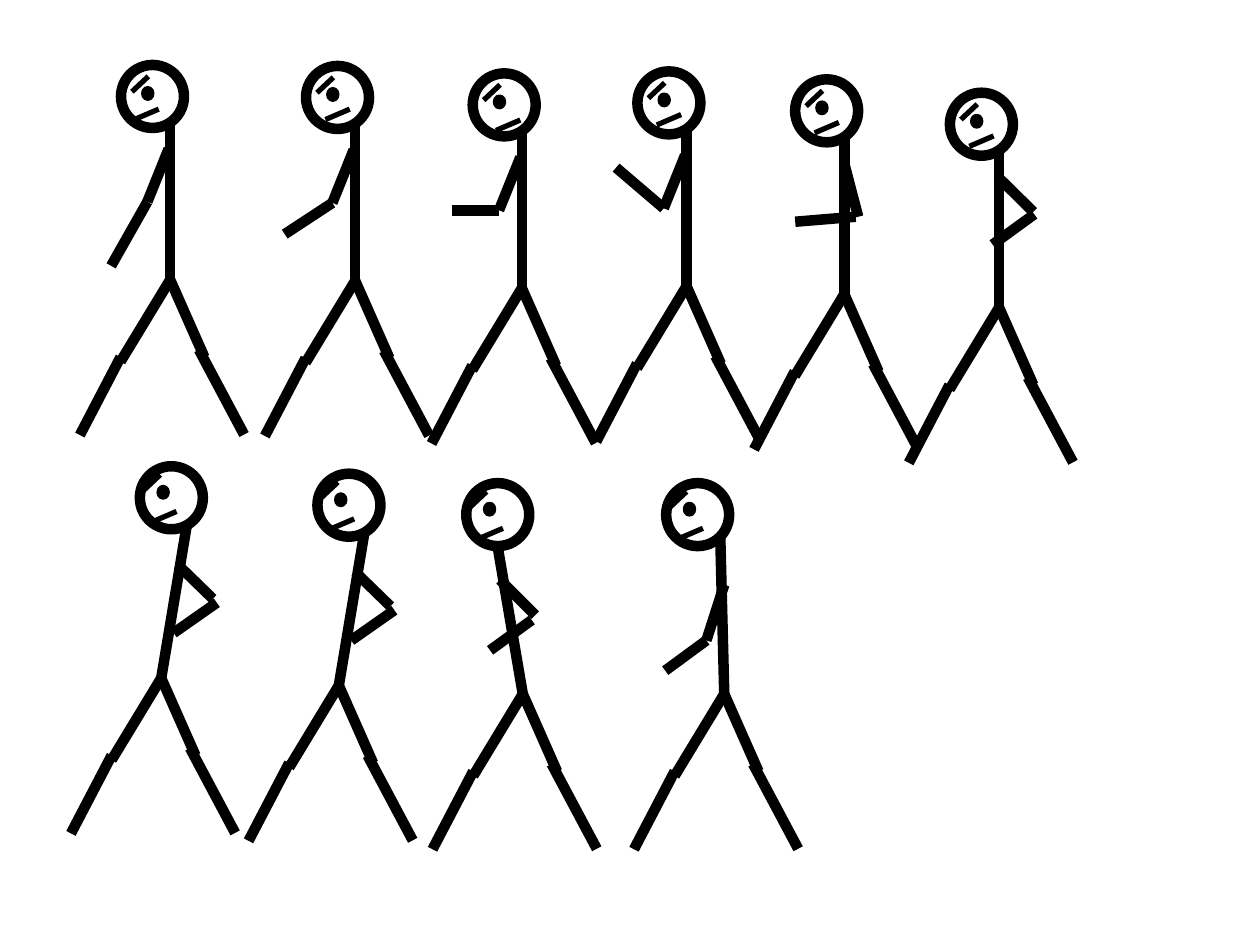
from lxml import etree
from pptx import Presentation
from pptx.dml.color import RGBColor
from pptx.enum import shapes as kinds
from pptx.oxml.ns import qn
from pptx.util import Cm, Pt

BLACK = RGBColor(0, 0, 0)
LIMB, EYE, THIN = Pt(6), Pt(2), Pt(3)
HEAD = 1.27  # head diameter

# All legs are alike; limbs are measured in cm from the hip.
LEGS = [(0, 0, 0.69, 1.56), (0.58, 1.41, 1.49, 3.12),
        (0, 0, -1, 1.65), (-1, 1.56, -1.82, 3.13)]

# Facial parts are measured from the top left corner of the head.
FACES = {"level": {"eye": (0.44, 0.46), "brow": (0.55, 0.23)},
         "raised": {"eye": (0.37, 0.41), "brow": (0.41, 0.17)}}

UP, HEAD_UP = (0, -3.15), (-0.99, -4.33)
FRONT = (-0.03, -2.64, -0.46, -1.57)
BEHIND = (-0.03, -2.64, 0.69, -1.93)
BENT = {"neck": (0.51, -3.05), "head": (-0.43, -4.27),
        "arm": (0.33, -2.29, 1.04, -1.6), "fore": (0.25, -0.91, 1.12, -1.52),
        "face": "raised", "mouth": (0.74, 0.91)}
BASE = {"neck": UP, "head": HEAD_UP, "arm": FRONT,
        "face": "level", "mouth": (0.88, 0.87)}

FIGURES = [
    BASE | {"hip": (3.43, 5.64), "fore": (-1.19, -0.28, -0.46, -1.57),
            "mouth": (0.76, 0.89)},
    BASE | {"hip": (7.16, 5.66), "fore": (-1.42, -0.94, -0.46, -1.57)},
    BASE | {"hip": (10.52, 5.81), "fore": (-1.4, -1.57, -0.46, -1.57),
            "mouth": (0.96, 0.94)},
    BASE | {"hip": (13.84, 5.77), "fore": (-1.42, -2.39, -0.46, -1.57)},
    BASE | {"hip": (17.02, 5.93), "arm": (0, -2.63, 0.28, -1.56),
            "fore": (-0.99, -1.46, 0.23, -1.56)},
    BASE | {"hip": (20.14, 6.2), "arm": BEHIND,
            "fore": (-0.13, -1.27, 0.71, -1.88)},
    BENT | {"hip": (3.25, 13.67)},
    BENT | {"hip": (6.83, 13.82)},
    BENT | {"hip": (10.54, 13.99), "neck": (-0.51, -2.98),
            "head": (-1.14, -4.25), "arm": (-0.46, -2.3, 0.25, -1.59),
            "fore": (-0.66, -0.88, 0.18, -1.49)},
    BENT | {"hip": (14.6, 13.99), "neck": (-0.08, -3.16),
            "head": (-1.17, -4.25), "arm": (0, -2.2, -0.36, -1.08),
            "fore": (-1.19, -0.47, -0.36, -1.08)},
]


def stroke(group, origin, ends, width):
    """Draw a black line whose ends are measured from origin."""
    x, y = origin
    x1, y1, x2, y2 = ends
    line = group.shapes.add_connector(
        kinds.MSO_CONNECTOR.STRAIGHT,
        Cm(x + x1), Cm(y + y1), Cm(x + x2), Cm(y + y2))
    line.line.color.rgb = BLACK
    line.line.width = width
    etree.SubElement(line._element.spPr, qn("a:effectLst"))


def oval(group, left, top, wide, high, width):
    """Draw an unfilled oval with a black outline."""
    ring = group.shapes.add_shape(kinds.MSO_SHAPE.OVAL,
                                  Cm(left), Cm(top), Cm(wide), Cm(high))
    ring.shadow.inherit = False
    ring.fill.background()
    ring.line.color.rgb = BLACK
    ring.line.width = width
    return ring


deck = Presentation()
deck.slide_width, deck.slide_height = Cm(25.4), Cm(19.05)
slide = deck.slides.add_slide(deck.slide_layouts[6])

for number, man in enumerate(FIGURES, 1):
    group = slide.shapes.add_group_shape()
    group.name = f"Figure {number}"
    hip, face = man["hip"], FACES[man["face"]]

    for limb in [(*man["neck"], 0, 0), *LEGS, man["arm"], man["fore"]]:
        stroke(group, hip, limb, LIMB)

    x, y = head = [a + b for a, b in zip(hip, man["head"])]
    oval(group, x, y, HEAD, HEAD, LIMB)

    across, down = face["eye"]
    eye = oval(group, x + across, y + down, 0.2, 0.23, EYE)
    eye.fill.solid()
    eye.fill.fore_color.rgb = BLACK

    for (across, down), (dx, dy) in [(face["brow"], (-0.33, 0.31)),
                                     (man["mouth"], (-0.49, 0.21))]:
        stroke(group, head, (across, down, across + dx, down + dy), THIN)

deck.save("out.pptx")
